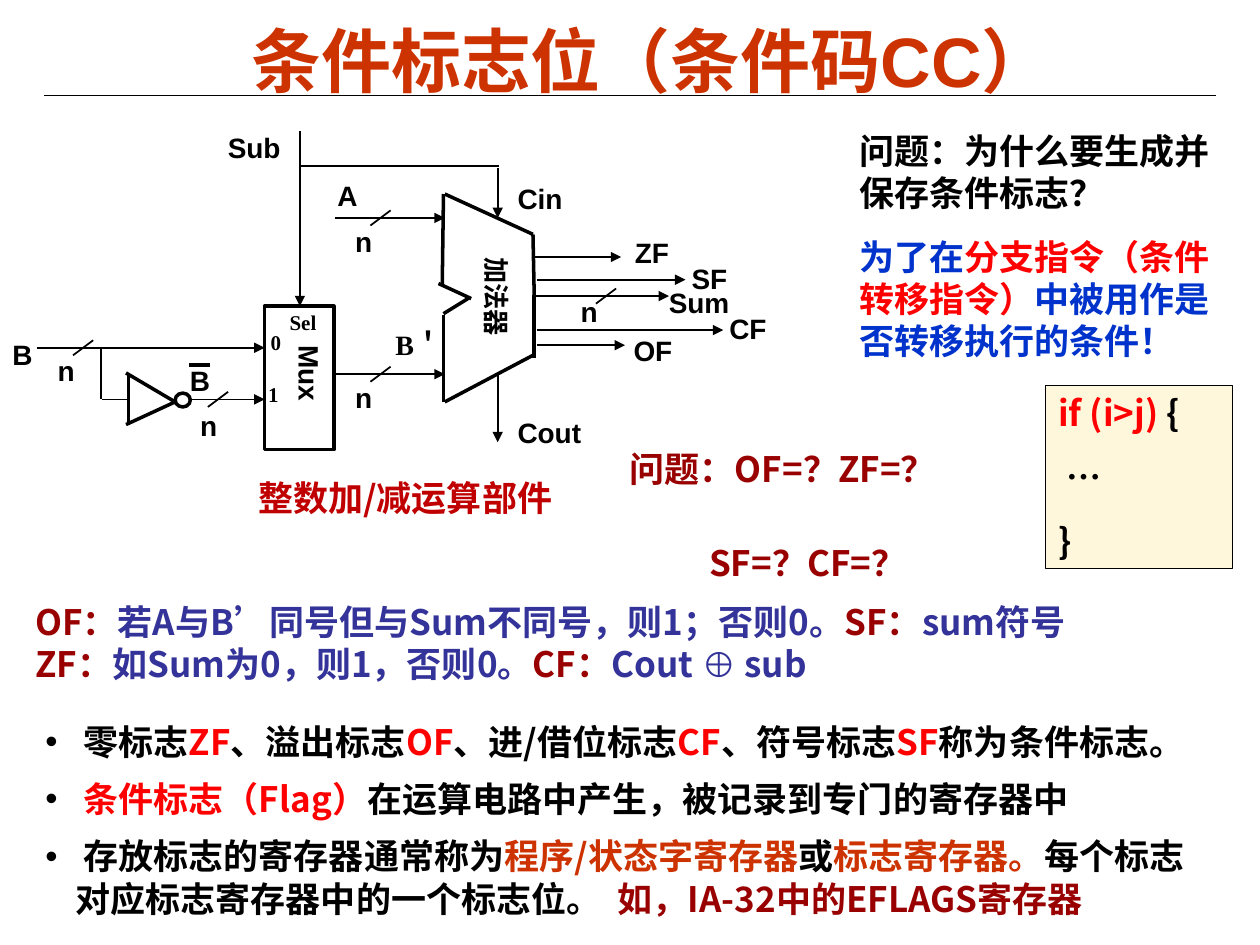
from lxml import etree
from pptx import Presentation
from pptx.dml.color import RGBColor
from pptx.enum.shapes import MSO_CONNECTOR, MSO_SHAPE
from pptx.enum.text import MSO_ANCHOR, MSO_AUTO_SIZE, PP_ALIGN
from pptx.oxml.ns import qn
from pptx.util import Inches, Pt

STRAIGHT = MSO_CONNECTOR.STRAIGHT
RECTANGLE, OVAL = MSO_SHAPE.RECTANGLE, MSO_SHAPE.OVAL
TOP, MIDDLE = MSO_ANCHOR.TOP, MSO_ANCHOR.MIDDLE
LEFT, CENTER = PP_ALIGN.LEFT, PP_ALIGN.CENTER
NO_RESIZE = MSO_AUTO_SIZE.NONE

BLACK = RGBColor(0x00, 0x00, 0x00)
RED = RGBColor(0xFF, 0x00, 0x00)
ORANGE = RGBColor(0xCC, 0x33, 0x00)
MAROON = RGBColor(0x99, 0x00, 0x00)
CRIMSON = RGBColor(0xC0, 0x00, 0x00)
INDIGO = RGBColor(0x33, 0x33, 0x99)
BLUE = RGBColor(0x00, 0x33, 0xCC)
GOLD = RGBColor(0xFF, 0xCC, 0x00)

ARIAL, TIMES, NOTO = "Arial", "Times New Roman", "Noto Sans CJK SC"


def add_run(paragraph, text, *, size=20, font=NOTO, color=BLACK):
    """Append a bold run to the paragraph."""
    run = paragraph.add_run()
    run.text = text
    run.font.size = Pt(size)
    run.font.name = font
    run.font.bold = True
    run.font.color.rgb = color
    east_asian = etree.SubElement(run._r.get_or_add_rPr(), qn("a:ea"))
    east_asian.set("typeface", NOTO)


class SlideBuilder:
    """Hold the text and line style and the slide being built."""

    def __init__(self, slide):
        self.slide = slide
        self.shapes = slide.shapes

    def place(self, shape, box):
        """Move a shape to left, top, width, height in inches."""
        shape.left, shape.top, shape.width, shape.height = map(Inches, box)

    def fill_text(self, shape, paragraphs, *, gap=0, wrap=True, anchor=TOP,
                  align=LEFT, margins=(0.1, 0.05), **style):
        """Fill a shape with paragraphs of (text, colour) or (text, colour, font) runs."""
        frame = shape.text_frame
        frame.auto_size = NO_RESIZE
        frame.word_wrap = wrap
        frame.vertical_anchor = anchor
        frame.margin_left = frame.margin_right = Inches(margins[0])
        frame.margin_top = frame.margin_bottom = Inches(margins[1])
        for index, runs in enumerate(paragraphs):
            paragraph = frame.add_paragraph() if index else frame.paragraphs[0]
            paragraph.alignment = align
            paragraph.space_before = Pt(gap if index else 0)
            for text, color, *font in runs:
                run_style = {**style, "font": font[0]} if font else style
                add_run(paragraph, text, color=color, **run_style)
        return frame

    def title(self, text, box):
        """Place the slide title."""
        shape = self.shapes.title
        self.place(shape, box)
        self.fill_text(shape, [[(text, ORANGE)]], align=CENTER,
                       margins=(0.07, 0.03), size=40, font=ARIAL)

    def bullets(self, paragraphs, box):
        """Fill the body placeholder with a bulleted list."""
        shape = self.slide.placeholders[1]
        self.place(shape, box)
        frame = self.fill_text(shape, paragraphs, gap=8.8, anchor=MIDDLE)
        for paragraph in frame.paragraphs:
            properties = paragraph._p.get_or_add_pPr()
            properties.set("marL", str(Inches(0.24)))
            properties.set("indent", str(-Inches(0.24)))
            color = etree.SubElement(properties, qn("a:buClr"))
            etree.SubElement(color, qn("a:srgbClr")).set("val", str(BLACK))
            etree.SubElement(properties, qn("a:buChar")).set("char", "•")

    def text(self, paragraphs, box, *, rotation=0, **style):
        """Add a text box."""
        shape = self.shapes.add_textbox(*map(Inches, box))
        shape.rotation = rotation
        return self.fill_text(shape, paragraphs, **style)

    def label(self, text, box, *, size=16, font=ARIAL, wrap=False, rotation=0):
        """Add a short diagram label."""
        return self.text([[(text, BLACK)]], box, size=size, font=font,
                         wrap=wrap, rotation=rotation)

    def line(self, start, end, *, width=1, arrow=False):
        """Draw a straight line, with an arrowhead at its end if asked."""
        connector = self.shapes.add_connector(STRAIGHT, *map(Inches, start + end))
        connector.line.color.rgb = BLACK
        connector.line.width = Pt(width)
        properties = connector._element.spPr
        if arrow:
            head = etree.SubElement(properties.find(qn("a:ln")), qn("a:tailEnd"))
            head.set("type", "triangle")
        etree.SubElement(properties, qn("a:effectLst"))

    def outline(self, kind, box, *, width=2):
        """Add an unfilled preset shape with a black outline."""
        shape = self.shapes.add_shape(kind, *map(Inches, box))
        shape.shadow.inherit = False
        shape.fill.background()
        shape.line.color.rgb = BLACK
        shape.line.width = Pt(width)
        return shape

    def code(self, paragraphs, box):
        """Add the code panel with a translucent fill."""
        shape = self.outline(RECTANGLE, box, width=0.75)
        shape.fill.solid()
        shape.fill.fore_color.rgb = GOLD
        color = shape._element.spPr.find(qn("a:solidFill")).find(qn("a:srgbClr"))
        etree.SubElement(color, qn("a:alpha")).set("val", "14000")
        self.fill_text(shape, paragraphs, gap=12.5)


def draw_circuit(builder):
    """Draw the adder, multiplexer, inverter and their wires."""
    adder = [((3.52, 1.54), (3.51, 2.26)), ((3.53, 1.54), (4.23, 1.86)),
             ((3.48, 2.25), (3.74, 2.37)), ((4.23, 1.86), (4.24, 2.34)),
             ((3.52, 3.19), (3.52, 2.5)), ((3.53, 3.19), (4.23, 2.82)),
             ((3.52, 2.49), (3.73, 2.36)), ((4.24, 2.84), (4.24, 2.34))]
    inverter = [((1.39, 3.19), (1, 2.96)), ((1.39, 3.19), (1, 3.37)),
                ((1.02, 2.98), (1.02, 3.37))]
    for start, end in adder + inverter:
        builder.line(start, end, width=2)
    builder.outline(OVAL, (1.39, 3.12, 0.12, 0.11))
    builder.outline(RECTANGLE, (2.1, 2.43, 0.55, 1.14))

    arrows = [((2.66, 1.73), (3.53, 1.73)), ((2.66, 2.97), (3.53, 2.97)),
              ((0.29, 2.76), (2.1, 2.76)), ((1.51, 3.17), (2.1, 3.17)),
              ((2.38, 1.04), (2.38, 2.43)), ((3.95, 1.33), (3.95, 1.73)),
              ((3.95, 2.98), (3.95, 3.51)), ((4.24, 2.35), (5.31, 2.35)),
              ((4.23, 2.04), (4.93, 2.04)), ((4.26, 2.74), (4.96, 2.74)),
              ((4.26, 2.22), (5.44, 2.22)), ((4.26, 2.62), (5.74, 2.62))]
    for start, end in arrows:
        builder.line(start, end, arrow=True)
    for start, end in [((0.8, 2.77), (0.8, 3.17)), ((0.81, 3.17), (1.01, 3.17)),
                       ((3.96, 1.32), (2.37, 1.32))]:
        builder.line(start, end)
    for left, top in [(2.94, 1.67), (2.94, 2.91), (4.73, 2.29), (0.58, 2.7), (1.65, 3.11)]:
        builder.line((left + 0.16, top), (left, top + 0.12))
    builder.line((1.5, 2.9), (1.67, 2.9), width=2.25)

    for left, top in [(2.72, 1.73), (2.72, 2.97), (0.36, 2.76), (1.49, 3.19)]:
        builder.label("n", (left, top, 0.33, 0.36))
    sum_width = builder.label("n", (4.51, 2.35, 0.33, 0.3))
    sum_width.paragraphs[0].line_spacing = 0.75
    for text, left, top, width in [
            ("Sum", 5.21, 2.22, 0.68), ("A", 2.58, 1.37, 0.36), ("ZF", 4.94, 1.82, 0.47),
            ("Cin", 4.01, 1.39, 0.56), ("Cout", 4.01, 3.25, 0.7), ("B", 0, 2.63, 0.36),
            ("Sub", 1.71, 0.99, 0.62), ("B", 1.41, 2.84, 0.36), ("OF", 4.93, 2.6, 0.51)]:
        builder.label(text, (left, top, width, 0.36))
    for text, left, top, width in [("0", 2.05, 2.57, 0.28), ("1", 2.03, 2.98, 0.28),
                                   ("Sel", 2.2, 2.41, 0.41)]:
        builder.label(text, (left, top, width, 0.3), size=12, font=TIMES)
    builder.label("SF", (5.39, 2.03, 0.59, 0.37), wrap=True)
    builder.label("CF", (5.69, 2.42, 0.6, 0.37), wrap=True)
    builder.label("B＇", (3.04, 2.55, 0.68, 0.37), font=TIMES, wrap=True)
    builder.label("加法器", (3.43, 2.28, 1.02, 0.35), size=15, wrap=True, rotation=90)
    builder.label("Mux", (2.07, 2.85, 0.78, 0.36), wrap=True, rotation=90)
    builder.text([[("整数加/减运算部件", CRIMSON)]], (1.95, 3.73, 2.61, 0.77))


def main():
    """Build the condition flag slide."""
    presentation = Presentation()
    presentation.slide_width, presentation.slide_height = Inches(10), Inches(7.5)
    builder = SlideBuilder(presentation.slides.add_slide(presentation.slide_layouts[1]))

    builder.line((0.35, 0.76), (9.65, 0.76), width=0.75)
    builder.title("条件标志位（条件码CC）", (1.16, 0.11, 8.02, 0.72))
    builder.bullets([
        [(" 零标志", BLACK), ("ZF", RED), ("、溢出标志", BLACK), ("OF", RED),
         ("、进/借位标志", BLACK), ("CF", RED), ("、符号标志", BLACK), ("SF", RED),
         ("称为条件标志。", BLACK)],
        [(" 条件标志（Flag）", RED), ("在运算电路中产生，被记录到专门的寄存器中", BLACK)],
        [(" 存放标志的寄存器通常称为", BLACK), ("程序/状态字寄存器", ORANGE), ("或", BLACK),
         ("标志寄存器。", ORANGE), ("每个标志对应标志寄存器中的一个标志位。 ", BLACK),
         (" 如，IA-32中的EFLAGS寄存器", MAROON)],
    ], (0.26, 5.5, 9.5, 2.01))

    questions = builder.text([[("问题：OF=？ZF=？", MAROON)], [("SF=？CF=？", MAROON)]],
                             (4.9, 3.5, 2.9, 1.19), gap=30)
    questions.paragraphs[1]._p.get_or_add_pPr().set("marL", str(Inches(0.63)))
    builder.text([
        [("OF：", MAROON), ("若A与B’同号但与Sum不同号，则1；否则0。", INDIGO),
         ("SF：", MAROON), ("sum符号", INDIGO)],
        [("ZF：", MAROON), ("如Sum为0，则1，否则0。", INDIGO), ("CF：", MAROON),
         ("Cout ", INDIGO), ("⊕", INDIGO, ARIAL), (" sub", INDIGO)],
    ], (0.18, 4.72, 9.49, 0.77))
    draw_circuit(builder)
    builder.text([
        [("问题：为什么要生成并保存条件标志？", BLACK)],
        [("为了在", BLUE), ("分支指令（条件转移指令）", RED),
         ("中被用作是否转移执行的条件！", BLUE)],
    ], (6.72, 0.98, 3, 1.94), gap=12.5, font=ARIAL)
    builder.code([[("if (i>j)", RED), (" {", BLACK)], [(" …", BLACK)], [("}", BLACK)]],
                 (8.3, 3.06, 1.48, 1.45))
    presentation.save("out.pptx")


if __name__ == "__main__":
    main()
